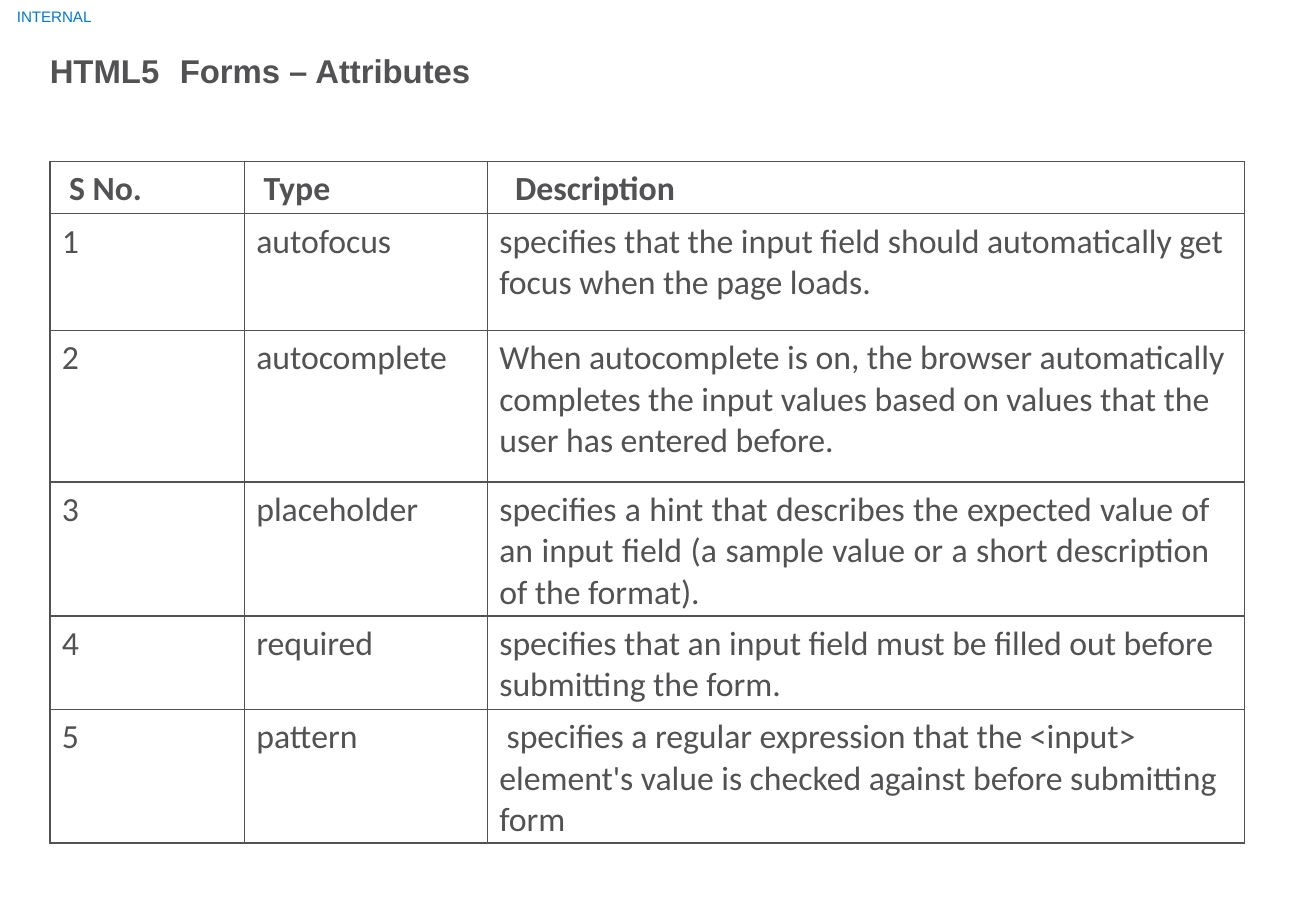
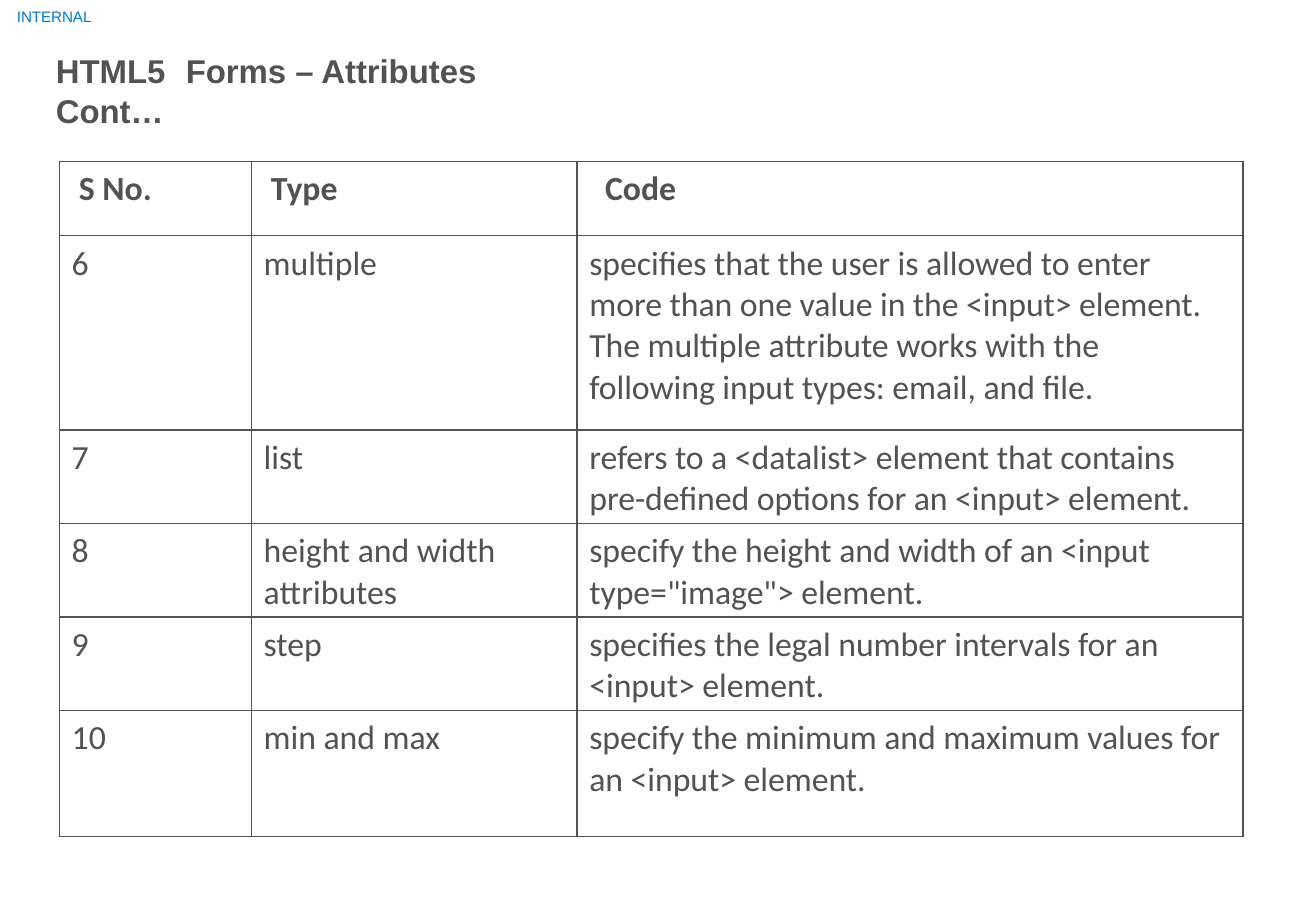
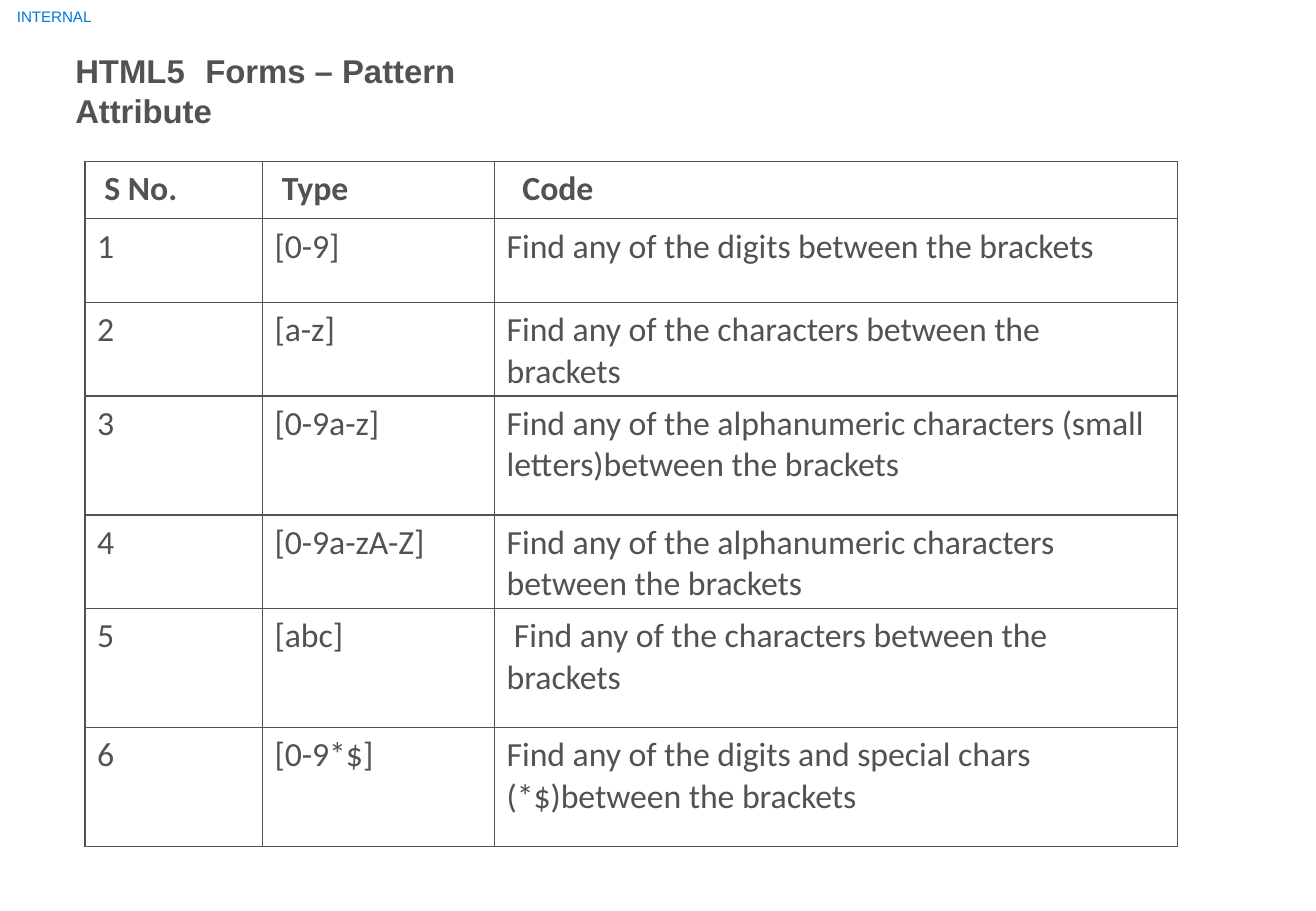
from lxml.etree import SubElement
from pptx import Presentation
from pptx.dml.color import RGBColor
from pptx.enum.text import PP_ALIGN as Align
from pptx.oxml.ns import qn
from pptx.util import Inches, Pt

INK, BLUE = "525254", "0078D6"
CELL_INDENT = 0.1
HEADER_INDENTS = (0.16, 0.16, 0.23)

# "formats" holds the paragraph format of single cells, by (row, column).
SLIDES = [
    dict(
        title="HTML5\tForms – Attributes", title_left=0.4, title_width=3.6,
        table_left=0.41, cols=(1.6, 2, 6.23), right_margin=0.12,
        heights=(0.43, 0.96, 1.25, 1.1, 0.77, 1.1),
        rows=[
            ("S No.", "Type", "Description"),
            ("1", "autofocus", "specifies that the input field should automatically get\n"
             "focus when the page loads."),
            ("2", "autocomplete", "When autocomplete is on, the browser automatically "
             "completes the input values based on values that the user has entered before."),
            ("3", "placeholder", "specifies a hint that describes the expected value of "
             "an input field (a sample value or a short description of the format)."),
            ("4", "required", "specifies that an input field must be filled out before\n"
             "submitting the form."),
            ("5", "pattern", "specifies a regular expression that the <input> "
             "element's value is checked against before submitting form"),
        ],
        formats={(3, 2): dict(align=Align.JUSTIFY, right=0.29), (5, 2): dict(first_line=0.06)},
    ),
    dict(
        title="HTML5\tForms – Attributes Cont…", title_left=0.45, title_width=4.2,
        table_left=0.49, cols=(1.58, 2.68, 5.48), right_margin=0.12,
        heights=(0.61, 1.6, 0.77, 0.77, 0.77, 1.04),
        rows=[
            ("S No.", "Type", "Code"),
            ("6", "multiple", "specifies that the user is allowed to enter more than one "
             "value in the <input> element. The multiple attribute works with the "
             "following input types: email, and file."),
            ("7", "list", "refers to a <datalist> element that contains "
             "pre-defined options for an <input> element."),
            ("8", "height and width\nattributes", "specify the height and width of an <input\n"
             "type=\"image\"> element."),
            ("9", "step", "specifies the legal number intervals for an\n<input> element."),
            ("10", "min and max", "specify the minimum and maximum values for\n"
             "an <input> element."),
        ],
        formats={},
    ),
    dict(
        title="HTML5\tForms – Pattern Attribute", title_left=0.61, title_width=4.1,
        table_left=0.7, cols=(1.46, 1.91, 5.62), right_margin=0.2,
        heights=(0.47, 0.69, 0.77, 0.98, 0.77, 0.98, 0.98),
        rows=[
            ("S No.", "Type", "Code"),
            ("1", "[0-9]", "Find any of the digits between the brackets"),
            ("2", "[a-z]", "Find any of the characters between the brackets"),
            ("3", "[0-9a-z]", "Find any of the alphanumeric characters (small\n"
             "letters)between the brackets"),
            ("4", "[0-9a-zA-Z]", "Find any of the alphanumeric characters\n"
             "between the brackets"),
            ("5", "[abc]", "Find any of the characters between the brackets"),
            ("6", "[0-9*$]", "Find any of the digits and special chars (*$)between the brackets"),
        ],
        formats={(5, 2): dict(first_line=0.06)},
    ),
]


def rgb(value):
    return RGBColor.from_string(value)


def write(tf, text, size=20, font="Calibri", color=INK, bold=False,
          align=None, first_line=0, tab=None):
    """Fill a text frame, one paragraph per line of text."""
    for i, line in enumerate(text.split("\n")):
        p = tf.add_paragraph() if i else tf.paragraphs[0]
        if align is not None:
            p.alignment = align
        pPr = p._p.get_or_add_pPr()
        if first_line:
            pPr.set("indent", str(Inches(first_line)))
        if tab:
            tabs = SubElement(pPr, qn("a:tabLst"))
            SubElement(tabs, qn("a:tab"), pos=str(Inches(tab)), algn="l")
        r = p.add_run()
        r.text = line
        r.font.size, r.font.name, r.font.bold = Pt(size), font, bold
        r.font.color.rgb = rgb(color)
        r._r.get_or_add_rPr().set("spc", "-5")


def set_margins(frame, left, top, right=0):
    frame.margin_left, frame.margin_top = Inches(left), Inches(top)
    frame.margin_right, frame.margin_bottom = Inches(right), 0


def add_text(s, text, left, top, width, height, margin_top, **fmt):
    box = s.shapes.add_textbox(*map(Inches, (left, top, width, height)))
    tf = box.text_frame
    tf.word_wrap = True
    set_margins(tf, 0.01, margin_top)
    write(tf, text, font="Arial", **fmt)


def add_borders(cell):
    tcPr = cell._tc.get_or_add_tcPr()
    for i, side in enumerate(("lnL", "lnR", "lnT", "lnB")):
        ln = tcPr.makeelement(qn("a:" + side), {"w": str(Pt(1))})
        fill = SubElement(ln, qn("a:solidFill"))
        SubElement(fill, qn("a:srgbClr"), val=INK)
        tcPr.insert(i, ln)


def add_grid(s, data):
    rows, cols, heights = data["rows"], data["cols"], data["heights"]
    frame = s.shapes.add_table(len(rows), len(cols), Inches(data["table_left"]), Inches(1.33),
                               Inches(sum(cols)), Inches(sum(heights)))
    table = frame.table
    table.first_row = table.horz_banding = False
    for column, width in zip(table.columns, cols):
        column.width = Inches(width)
    for i, (row, height) in enumerate(zip(rows, heights)):
        table.rows[i].height = Inches(height)
        for j, text in enumerate(row):
            cell = table.cell(i, j)
            fmt = dict(data["formats"].get((i, j), {}))
            right = fmt.pop("right", data["right_margin"] if j == len(cols) - 1 else 0)
            set_margins(cell, CELL_INDENT if i else HEADER_INDENTS[j], 0.06, right)
            cell.fill.background()
            add_borders(cell)
            write(cell.text_frame, text, bold=i == 0, **fmt)


def main():
    prs = Presentation()
    prs.slide_width, prs.slide_height = Inches(10.83), Inches(7.5)
    for data in SLIDES:
        s = prs.slides.add_slide(prs.slide_layouts[6])
        add_text(s, "INTERNAL", 0.13, 0.04, 0.7, 0.18, 0.02, size=9, color=BLUE)
        add_text(s, data["title"], data["title_left"], 0.39, data["title_width"], 0.35, 0.03,
                 size=19.5, bold=True, tab=1.07)
        add_grid(s, data)
    prs.save("out.pptx")


if __name__ == "__main__":
    main()
